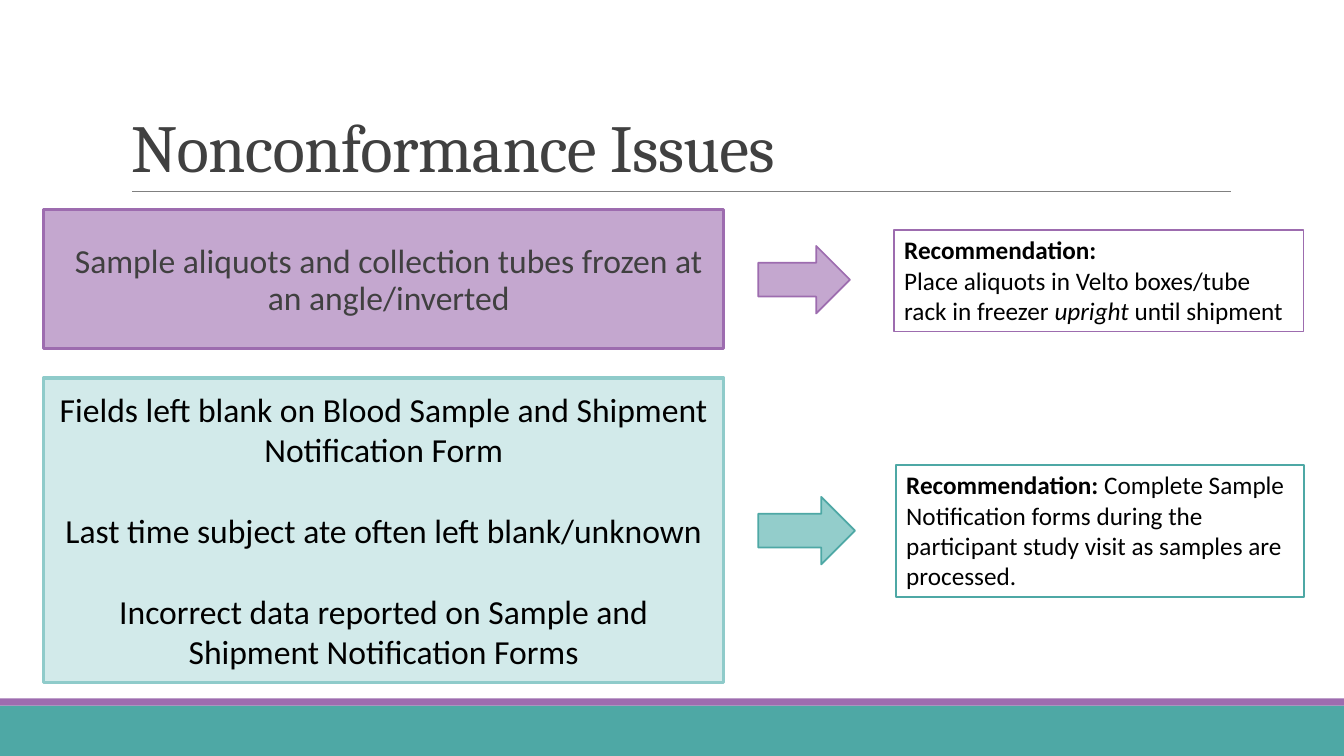
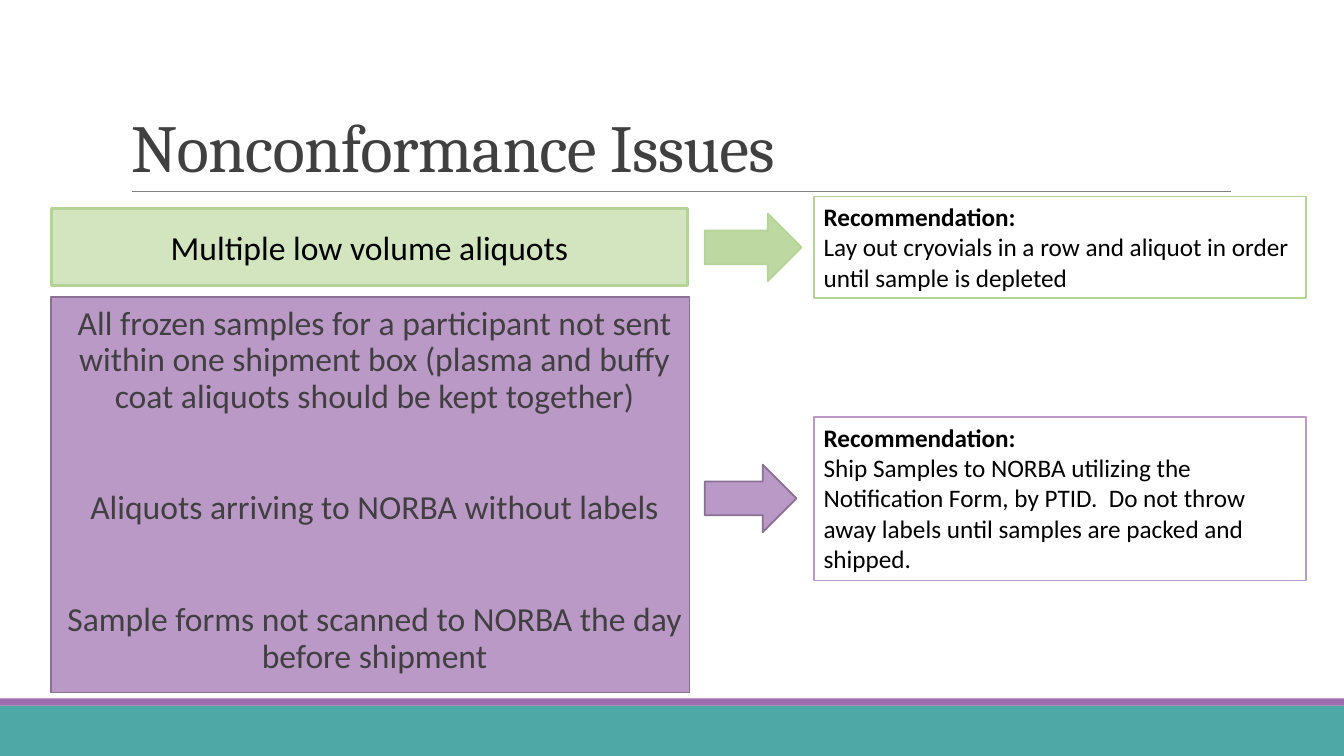
"""Build two slides that pair nonconformance issues with recommendations."""
from pptx import Presentation
from pptx.dml.color import RGBColor
from pptx.enum.shapes import MSO_CONNECTOR, MSO_SHAPE
from pptx.enum.text import MSO_ANCHOR, PP_ALIGN
from pptx.oxml.ns import qn
from pptx.util import Inches, Pt

RECTANGLE, ARROW = MSO_SHAPE.RECTANGLE, MSO_SHAPE.RIGHT_ARROW
STRAIGHT = MSO_CONNECTOR.STRAIGHT
TOP, MIDDLE, BOTTOM = MSO_ANCHOR.TOP, MSO_ANCHOR.MIDDLE, MSO_ANCHOR.BOTTOM
LEFT, CENTER = PP_ALIGN.LEFT, PP_ALIGN.CENTER

TEAL, PURPLE, GREEN = "4EA8A5", "9D6CAF", "B5D395"
MAUVE, PLUM = "BB99C7", "8A7193"
WHITE, BLACK, DARK, GRAY = "FFFFFF", "000000", "404040", "808080"
TITLE_FONT, BODY_FONT = "Cambria", "Calibri"
TITLE = "Nonconformance Issues"
BANDS = [((0, 7, 13.33, 0.5), TEAL), ((0, 6.93, 13.33, 0.07), PURPLE)]
DEFAULT_INSETS = (0.1, 0.05, 0.1, 0.05)
HEADING = ("Recommendation:", "bold")

SLIDES = [
    [
        {
            "issue": {
                "at": (0.43, 2.08, 6.75, 1.38), "fill": "C4A7CF", "line": PURPLE, "weight": 2.25,
                "color": DARK, "spacing": 0.9, "gap": 0, "insets": (0.14, 0.08, 0.04, 0.04),
                "text": ["Sample aliquots and collection tubes frozen at an angle/inverted"],
            },
            "arrow": {"at": (7.52, 2.44, 0.91, 0.67), "fill": "C4A7CF", "line": PURPLE},
            "advice": {
                "at": (8.87, 2.28, 4.06, 1.01), "line": PURPLE,
                "text": [[HEADING],
                         [("Place aliquots in Velto boxes/tube rack in freezer ", ""),
                          ("upright", "italic"), (" until shipment", "")]],
            },
        },
        {
            "issue": {
                "at": (0.43, 3.75, 6.75, 3.02), "fill": "D2EAEA", "line": "8FCBCA", "weight": 2.25,
                "color": BLACK, "spacing": 1, "gap": 29, "insets": DEFAULT_INSETS,
                "text": ["Fields left blank on Blood Sample and Shipment Notification Form",
                         "Last time subject ate often left blank/unknown",
                         "Incorrect data reported on Sample and Shipment Notification Forms"],
            },
            "arrow": {"at": (7.52, 4.93, 0.96, 0.67), "fill": "93CDCB", "line": TEAL},
            "advice": {
                "at": (8.89, 4.61, 4.04, 1.31), "line": TEAL,
                "text": [[("Recommendation: ", "bold"),
                          ("Complete Sample Notification forms during the participant "
                           "study visit as samples are processed.", "")]],
            },
        },
    ],
    [
        {
            "issue": {
                "at": (0.51, 2.07, 6.31, 0.76), "fill": "D3E5BF", "line": GREEN, "weight": 2.25,
                "color": BLACK, "spacing": 1, "gap": 0, "insets": DEFAULT_INSETS,
                "text": ["Multiple low volume aliquots"],
            },
            "arrow": {"at": (6.99, 2.12, 0.96, 0.67), "fill": "BED8A1", "line": GREEN},
            "advice": {
                "at": (8.07, 1.95, 4.88, 1.01), "line": GREEN,
                "text": [[HEADING],
                         [("Lay out cryovials in a row and aliquot in order "
                           "until sample is depleted", "")]],
            },
        },
        {
            "issue": {
                "at": (0.51, 2.95, 6.33, 3.92), "fill": MAUVE, "line": PLUM, "weight": 1.25,
                "color": DARK, "spacing": 0.9, "gap": 54, "insets": (0.09, 0.04, 0.01, 0.12),
                "text": ["All frozen samples for a participant not sent within one shipment box "
                         "(plasma and buffy coat aliquots should be kept together)",
                         "Aliquots arriving to NORBA without labels",
                         "Sample forms not scanned to NORBA the day before shipment"],
            },
            "arrow": {"at": (6.99, 4.61, 0.91, 0.67), "fill": MAUVE, "line": PLUM},
            "advice": {
                "at": (8.07, 4.14, 4.88, 1.62), "line": MAUVE,
                "text": [[HEADING],
                         [("Ship Samples to NORBA utilizing the Notification Form, by PTID.  "
                           "Do not throw away labels until samples are packed and shipped.", "")]],
            },
        },
    ],
]


def rgb(value):
    return RGBColor.from_string(value)


def add_block(slide, kind, at, fill, line=None, weight=1.25):
    shape = slide.shapes.add_shape(kind, *map(Inches, at))
    shape.shadow.inherit = False
    shape.fill.solid()
    shape.fill.fore_color.rgb = rgb(fill)
    if line:
        shape.line.color.rgb = rgb(line)
        shape.line.width = Pt(weight)
    else:
        shape.line.fill.background()
    return shape


def write_text(shape, paragraphs, size, color, font=BODY_FONT, anchor=TOP, align=LEFT,
               spacing=1, gap=0, insets=DEFAULT_INSETS):
    frame = shape.text_frame
    frame.word_wrap = True
    frame.vertical_anchor = anchor
    frame.margin_left, frame.margin_top, frame.margin_right, frame.margin_bottom = map(Inches, insets)
    for index, pieces in enumerate(paragraphs):
        paragraph = frame.add_paragraph() if index else frame.paragraphs[0]
        paragraph.alignment = align
        paragraph.line_spacing = spacing
        paragraph.space_before = Pt(gap if index else 0)
        for text, style in pieces:
            run = paragraph.add_run()
            run.text = text
            run.font.name = font
            run.font.size = Pt(size)
            run.font.color.rgb = rgb(color)
            run.font.bold = style == "bold"
            run.font.italic = style == "italic"


def add_frame(slide):
    for at, color in BANDS:
        add_block(slide, RECTANGLE, at, color)
    rule = slide.shapes.add_connector(STRAIGHT, *map(Inches, (1.31, 1.9, 12.21, 1.9)))
    rule.line.color.rgb = rgb(GRAY)
    rule.line.width = Pt(0.5)
    properties = rule._element.spPr
    properties.append(properties.makeelement(qn("a:effectLst"), {}))
    title = slide.shapes.add_textbox(*map(Inches, (1.2, 0.31, 11, 1.59)))
    write_text(title, [[(TITLE, "")]], 48, DARK, TITLE_FONT, BOTTOM, spacing=0.85)
    title.text_frame.paragraphs[0].runs[0]._r.get_or_add_rPr().set("spc", "-50")


def add_pair(slide, issue, arrow, advice):
    box = add_block(slide, RECTANGLE, issue["at"], issue["fill"], issue["line"], issue["weight"])
    write_text(box, [[(text, "")] for text in issue["text"]], 24, issue["color"],
               anchor=MIDDLE, align=CENTER, spacing=issue["spacing"],
               gap=issue["gap"], insets=issue["insets"])
    add_block(slide, ARROW, **arrow)
    note = add_block(slide, RECTANGLE, advice["at"], WHITE, advice["line"])
    write_text(note, advice["text"], 18, BLACK)


def main():
    presentation = Presentation()
    presentation.slide_width, presentation.slide_height = Inches(13.33), Inches(7.5)
    for pairs in SLIDES:
        slide = presentation.slides.add_slide(presentation.slide_layouts[6])
        add_frame(slide)
        for pair in pairs:
            add_pair(slide, **pair)
    presentation.save("out.pptx")


if __name__ == "__main__":
    main()
